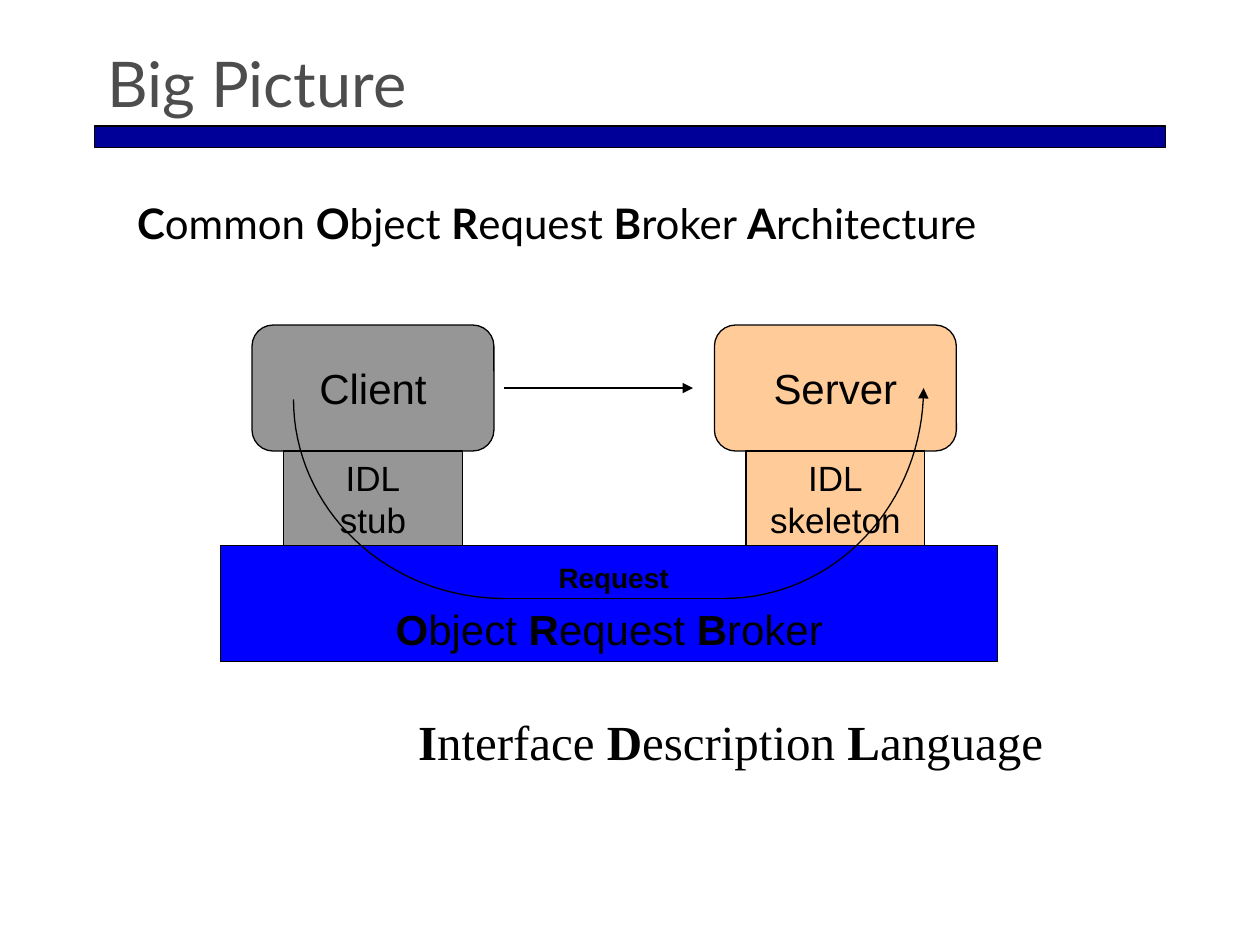
from math import cos, pi, sin

from lxml.etree import SubElement
from pptx import Presentation
from pptx.dml.color import RGBColor
from pptx.enum.shapes import MSO_CONNECTOR, MSO_SHAPE as Shape
from pptx.enum.text import MSO_ANCHOR as Anchor, PP_ALIGN as Align
from pptx.oxml.ns import qn
from pptx.util import Inches, Pt

BLACK = RGBColor(0x00, 0x00, 0x00)
TITLE_GRAY = RGBColor(0x4D, 0x4D, 0x4D)
RULE_BLUE = RGBColor(0x00, 0x00, 0x99)
BROKER_BLUE = RGBColor(0x00, 0x00, 0xFF)
CLIENT_GRAY = RGBColor(0x96, 0x96, 0x96)
SERVER_ORANGE = RGBColor(0xFF, 0xCC, 0x99)

LINE_WIDTH = Pt(0.75)
ARC_STEPS = 32


def format_runs(paragraph, size, font="Arial", color=BLACK):
    for run in paragraph.runs:
        run.font.size = Pt(size)
        run.font.name = font
        run.font.color.rgb = color


def add_acronym_words(paragraph, phrase, size, font="Arial"):
    """Write the phrase with the first letter of every word in bold."""
    words = phrase.split()
    for index, word in enumerate(words):
        initial = paragraph.add_run()
        initial.text = word[0]
        initial.font.bold = True
        rest = paragraph.add_run()
        rest.text = word[1:] + (" " if index < len(words) - 1 else "")
        rest.font.bold = False
    format_runs(paragraph, size, font)


def style_line(line):
    line.color.rgb = BLACK
    line.width = LINE_WIDTH


def add_arrowhead(line_element, end):
    SubElement(line_element, qn(f"a:{end}"), type="triangle")


def add_block(slide, kind, left, top, width, height, fill, text="", size=24):
    block = slide.shapes.add_shape(
        kind, Inches(left), Inches(top), Inches(width), Inches(height))
    block.fill.solid()
    block.fill.fore_color.rgb = fill
    style_line(block.line)
    block.shadow.inherit = False
    frame = block.text_frame
    frame.word_wrap = True
    frame.vertical_anchor = Anchor.MIDDLE
    paragraph = frame.paragraphs[0]
    paragraph.alignment = Align.CENTER
    paragraph.text = text
    format_runs(paragraph, size)
    return block


def add_party(slide, left, fill, role, adapter):
    """Draw one side of the call: the program and its IDL adapter below."""
    program = add_block(slide, Shape.ROUNDED_RECTANGLE,
                        left, 2.58, 1.92, 1, fill, role)
    program.adjustments[0] = 0.167
    add_block(slide, Shape.RECTANGLE, left + 0.25, 3.58, 1.42, 0.75,
              fill, f"IDL\v{adapter}", 20)


def add_broker(slide):
    broker = add_block(slide, Shape.RECTANGLE, 1.75, 4.33, 6.17, 0.92, BROKER_BLUE)
    paragraph = broker.text_frame.paragraphs[0]
    paragraph.add_line_break()
    SubElement(paragraph._p.find(qn("a:br")), qn("a:rPr"), sz="2400")
    add_acronym_words(paragraph, "Object Request Broker", 24)


def add_text(slide, left, top, width, height):
    box = slide.shapes.add_textbox(
        Inches(left), Inches(top), Inches(width), Inches(height))
    box.text_frame.word_wrap = True
    return box.text_frame


def add_quarter_arc(slide, center_x, center_y, radius_x, radius_y):
    """Draw from the side of an ellipse to its bottom; a negative radius_x goes left."""
    angles = [pi / 2 * step / ARC_STEPS for step in range(ARC_STEPS + 1)]
    points = [(Inches(center_x + radius_x * cos(angle)),
               Inches(center_y + radius_y * sin(angle))) for angle in angles]
    builder = slide.shapes.build_freeform(*points[0])
    builder.add_line_segments(points[1:], close=False)
    arc = builder.convert_to_shape()
    arc.fill.background()
    style_line(arc.line)
    arc.shadow.inherit = False
    return arc


def add_straight_line(slide, start_x, end_x, y):
    line = slide.shapes.add_connector(
        MSO_CONNECTOR.STRAIGHT, Inches(start_x), Inches(y), Inches(end_x), Inches(y))
    style_line(line.line)
    SubElement(line._element.spPr, qn("a:effectLst"))
    return line


def add_request_route(slide):
    add_quarter_arc(slide, 4, 3.17, -1.67, 1.58)
    server_arc = add_quarter_arc(slide, 5.75, 3.08, 1.58, 1.67)
    add_arrowhead(server_arc.line._get_or_add_ln(), "headEnd")
    add_straight_line(slide, 4, 5.75, 4.75)
    label = add_text(slide, 4.08, 4.42, 1.58, 0.33)
    label.vertical_anchor = Anchor.MIDDLE
    paragraph = label.paragraphs[0]
    paragraph.text = "Request"
    paragraph.alignment = Align.CENTER
    paragraph.runs[0].font.bold = True
    format_runs(paragraph, 16)


def add_title(slide, text):
    title = slide.shapes.title
    title.left, title.top = Inches(0.75), Inches(0.33)
    title.width, title.height = Inches(8.5), Inches(0.67)
    frame = title.text_frame
    frame.text = text
    frame.vertical_anchor = Anchor.BOTTOM
    frame.paragraphs[0].alignment = Align.LEFT
    format_runs(frame.paragraphs[0], 36, "Lato", TITLE_GRAY)


def add_expansion(slide, area, phrase, size, font, space_before):
    paragraph = add_text(slide, *area).paragraphs[0]
    paragraph.space_before = Pt(space_before)
    add_acronym_words(paragraph, phrase, size, font)


def main():
    deck = Presentation()
    deck.slide_width, deck.slide_height = Inches(10), Inches(7.5)
    slide = deck.slides.add_slide(deck.slide_layouts[5])

    add_block(slide, Shape.RECTANGLE, 0.75, 1, 8.5, 0.17, RULE_BLUE)
    add_title(slide, "Big Picture")
    add_expansion(slide, (0.99, 1.52, 8.03, 1.08),
                  "Common Object Request Broker Architecture", 24, "Lato", 6)
    add_party(slide, 2, CLIENT_GRAY, "Client", "stub")
    add_party(slide, 5.67, SERVER_ORANGE, "Server", "skeleton")
    add_broker(slide)
    add_request_route(slide)
    call_arrow = add_straight_line(slide, 4, 5.5, 3.08)
    add_arrowhead(call_arrow.line._get_or_add_ln(), "tailEnd")
    add_expansion(slide, (3.22, 5.6, 6.06, 0.57),
                  "Interface Description Language", 28, "Times New Roman", 7)
    deck.save("out.pptx")


if __name__ == "__main__":
    main()
